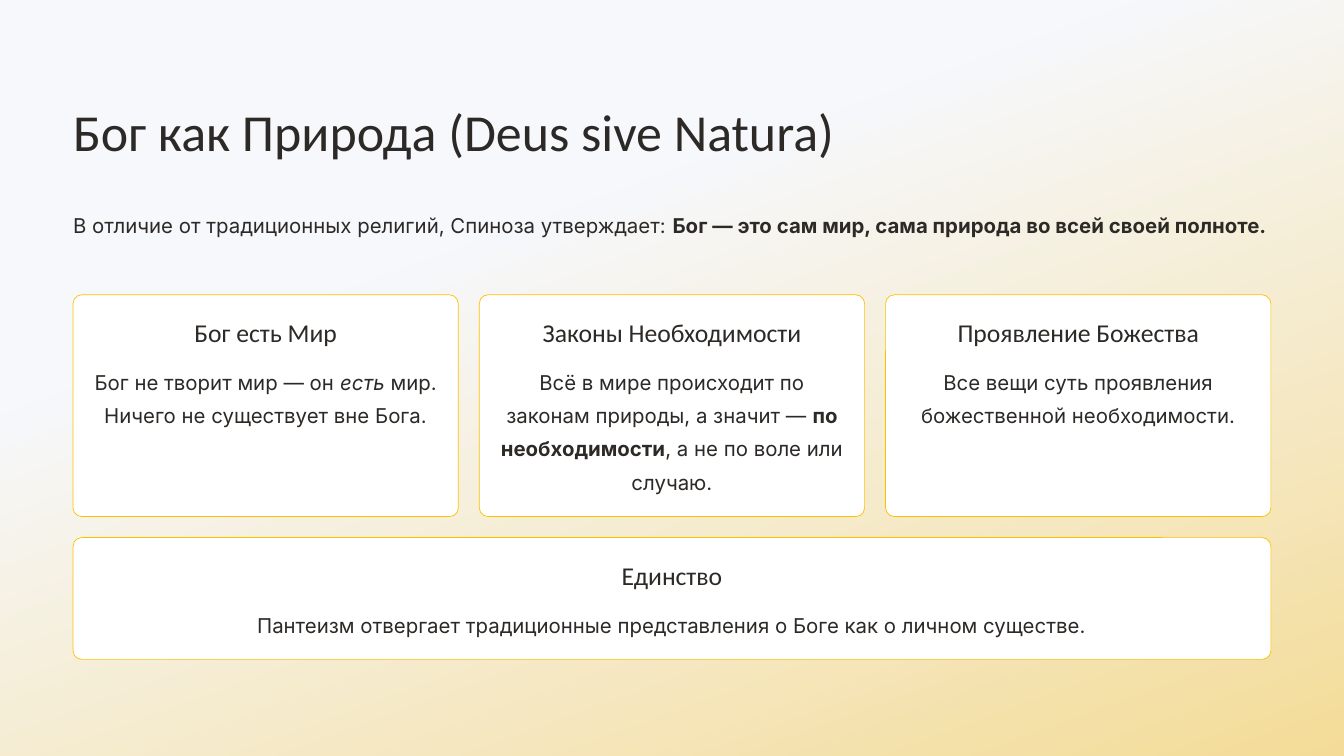
from dataclasses import dataclass

from pptx import Presentation
from pptx.dml.color import RGBColor
from pptx.enum.shapes import MSO_SHAPE
from pptx.enum.text import MSO_ANCHOR, MSO_AUTO_SIZE, PP_ALIGN
from pptx.util import Inches, Pt


@dataclass(frozen=True)
class TextStyle:
    font: str
    size: float
    leading: float


@dataclass(frozen=True)
class Theme:
    ink: RGBColor = RGBColor.from_string("2C2926")
    card: RGBColor = RGBColor.from_string("FFFFFF")
    border: RGBColor = RGBColor.from_string("FFC000")
    sky: RGBColor = RGBColor.from_string("F6F8FC")
    sand: RGBColor = RGBColor.from_string("F4DC98")
    border_width: float = 0.6
    title: TextStyle = TextStyle("Calibri", 44.5, 55.5)
    heading: TextStyle = TextStyle("Calibri", 22, 27.5)
    body: TextStyle = TextStyle("Inter", 17.5, 28.5)


@dataclass(frozen=True)
class Box:
    left: float
    top: float
    width: float
    height: float

    def emu(self):
        return [Inches(v) for v in (self.left, self.top, self.width, self.height)]


THEME = Theme()
SLIDE_WIDTH, SLIDE_HEIGHT = 16, 9
MARGIN = 0.87
CONTENT_WIDTH = SLIDE_WIDTH - 2 * MARGIN
GAP = 0.25
PADDING = 0.25
RADIUS = 0.105
COLUMNS = 3

TITLE = "Бог как Природа (Deus sive Natura)"
INTRO = [
    ("В отличие от традиционных религий, Спиноза утверждает: ", ""),
    ("Бог — это сам мир, сама природа во всей своей полноте.", "bold"),
]
THESES = [
    ("Бог есть Мир", [
        ("Бог не творит мир — он ", ""),
        ("есть", "italic"),
        (" мир. Ничего не существует вне Бога.", ""),
    ]),
    ("Законы Необходимости", [
        ("Всё в мире происходит по законам природы, а значит — ", ""),
        ("по необходимости", "bold"),
        (", а не по воле или случаю.", ""),
    ]),
    ("Проявление Божества", [
        ("Все вещи суть проявления божественной необходимости.", ""),
    ]),
]
UNITY = ("Единство", [
    ("Пантеизм отвергает традиционные представления о Боге как о личном существе.", ""),
])


def write_text(frame, pieces, style, align=PP_ALIGN.LEFT):
    frame.margin_left = frame.margin_top = frame.margin_right = frame.margin_bottom = 0
    frame.word_wrap = True
    frame.auto_size = MSO_AUTO_SIZE.NONE
    frame.vertical_anchor = MSO_ANCHOR.TOP
    paragraph = frame.paragraphs[0]
    paragraph.alignment = align
    paragraph.line_spacing = Pt(style.leading)
    paragraph.font.name = style.font
    paragraph.font.size = Pt(style.size)
    paragraph.font.color.rgb = THEME.ink
    for words, emphasis in pieces:
        run = paragraph.add_run()
        run.text = words
        if emphasis == "bold":
            run.font.bold = True
        elif emphasis == "italic":
            run.font.italic = True


def add_text(slide, box, pieces, style, align=PP_ALIGN.LEFT):
    write_text(slide.shapes.add_textbox(*box.emu()).text_frame, pieces, style, align)


def paint_background(slide):
    fill = slide.background.fill
    fill.gradient()
    fill.gradient_angle = 290
    for stop, color, position in zip(
        fill.gradient_stops, (THEME.sky, THEME.sand), (0.32, 1)
    ):
        stop.color.rgb = color
        stop.position = position


def place_title(slide, box):
    title = slide.shapes.title
    title.left, title.top, title.width, title.height = box.emu()
    write_text(title.text_frame, [(TITLE, "")], THEME.title)


def add_card(slide, box, heading, body):
    card = slide.shapes.add_shape(MSO_SHAPE.ROUNDED_RECTANGLE, *box.emu())
    card.adjustments[0] = RADIUS / min(box.width, box.height)
    card.shadow.inherit = False
    card.fill.solid()
    card.fill.fore_color.rgb = THEME.card
    card.line.color.rgb = THEME.border
    card.line.width = Pt(THEME.border_width)

    left, width = box.left + PADDING, box.width - 2 * PADDING
    heading_box = Box(left, box.top + PADDING, width, 0.39)
    body_top = box.top + 0.79
    body_box = Box(left, body_top, width, box.top + box.height - PADDING - body_top)
    add_text(slide, heading_box, [(heading, "")], THEME.heading, PP_ALIGN.CENTER)
    add_text(slide, body_box, body, THEME.body, PP_ALIGN.CENTER)


def add_card_row(slide, box, cards):
    width = (box.width - GAP * (COLUMNS - 1)) / COLUMNS
    for column, (heading, body) in enumerate(cards):
        left = box.left + column * (width + GAP)
        add_card(slide, Box(left, box.top, width, box.height), heading, body)


def main():
    presentation = Presentation()
    presentation.slide_width = Inches(SLIDE_WIDTH)
    presentation.slide_height = Inches(SLIDE_HEIGHT)
    slide = presentation.slides.add_slide(presentation.slide_layouts[5])

    paint_background(slide)
    place_title(slide, Box(MARGIN, 1.16, CONTENT_WIDTH, 0.78))
    add_text(slide, Box(MARGIN, 2.43, CONTENT_WIDTH, 0.79), INTRO, THEME.body)
    theses_box = Box(MARGIN, 3.51, CONTENT_WIDTH, 2.64)
    add_card_row(slide, theses_box, THESES)
    unity_top = theses_box.top + theses_box.height + GAP
    add_card(slide, Box(MARGIN, unity_top, CONTENT_WIDTH, 1.45), *UNITY)

    presentation.save("out.pptx")


if __name__ == "__main__":
    main()
